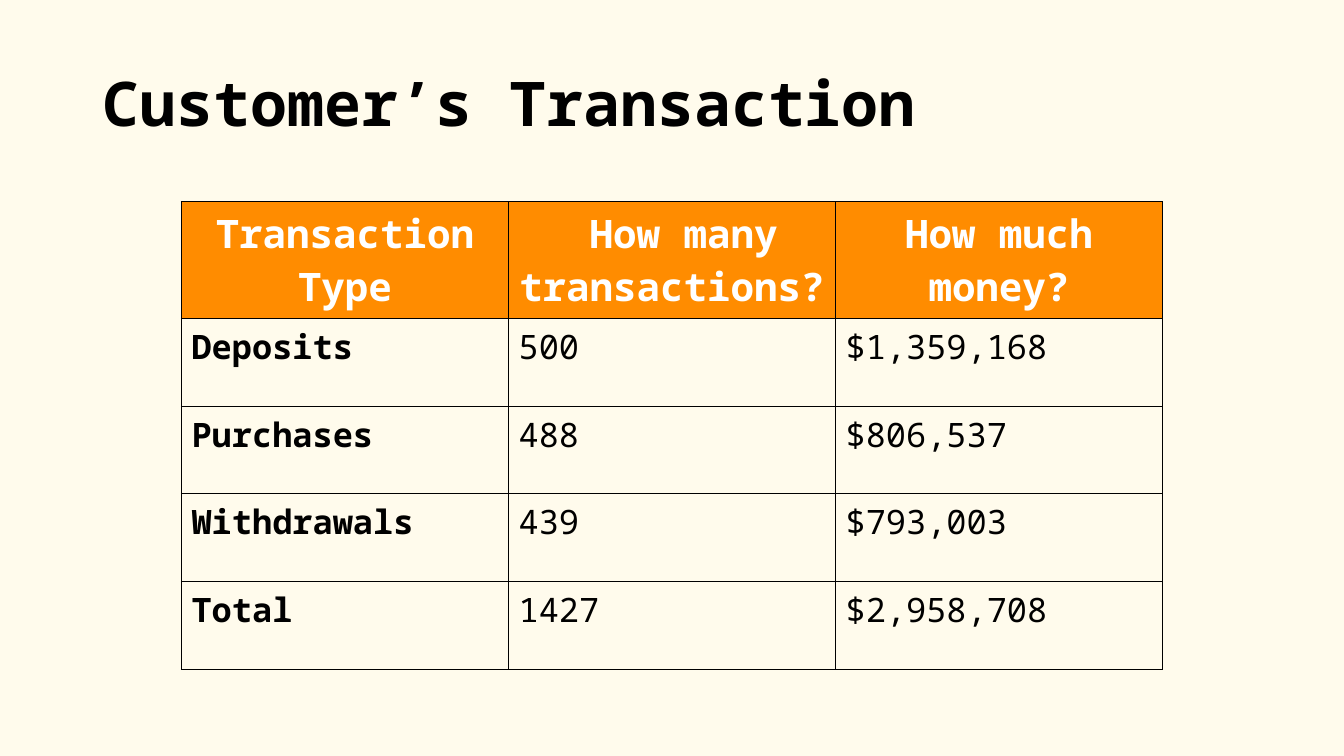
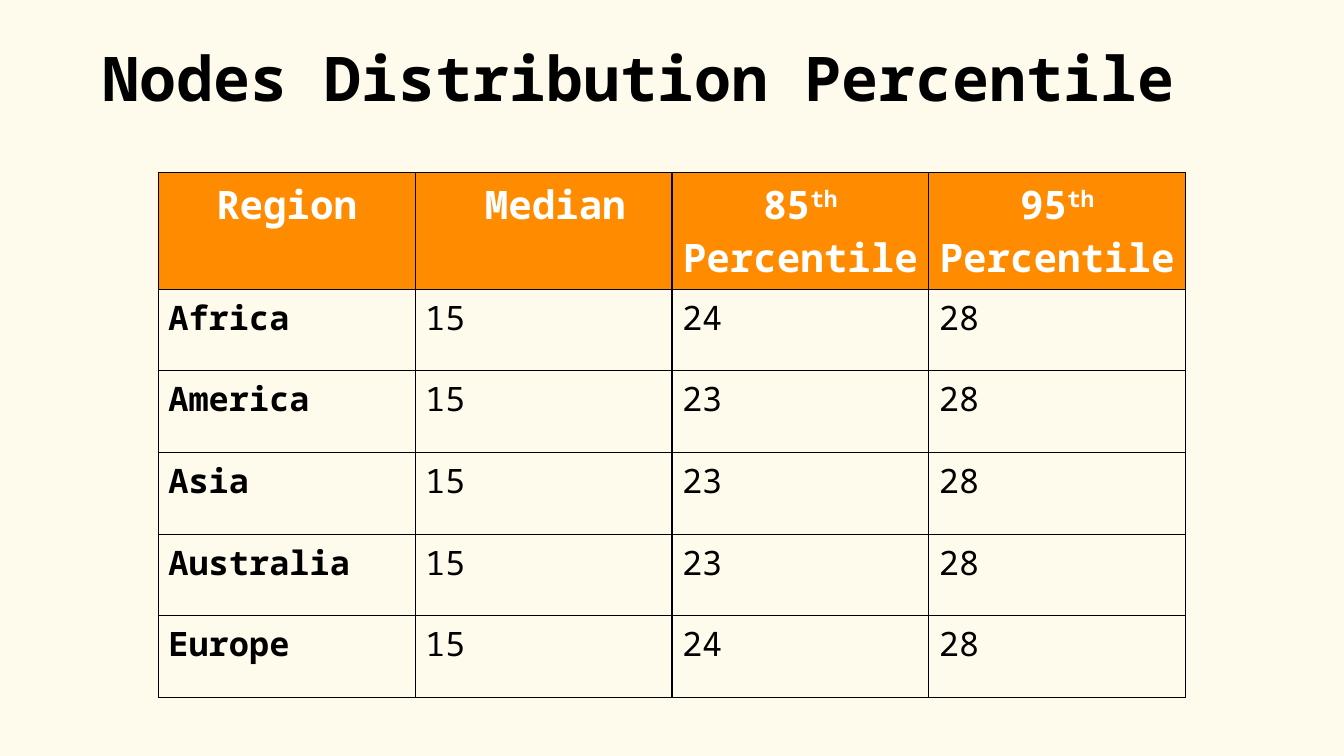
import dataclasses
import pptx
import pptx.util
import pptx.dml.color
import pptx.enum.text
import pptx.oxml
import pptx.oxml.ns

Inches = pptx.util.Inches
Align = pptx.enum.text.PP_ALIGN
Anchor = pptx.enum.text.MSO_ANCHOR


@dataclasses.dataclass(frozen=True)
class Theme:
    font: str = "Noto Sans Mono"
    paper: str = "FFFBEC"
    band: str = "FF8C00"
    ink: str = "000000"
    white: str = "FFFFFF"
    title: int = 44
    head: int = 28
    body: int = 24
    rule: int = 1
    wide: float = 13.33
    high: float = 7.5
    crest: float = 1.16


THEME = Theme()

SLIDES = [
    {
        "title": "Customer’s Transaction",
        "depth": 1.31,
        "top": 2,
        "width": 9.73,
        "row": 0.87,
        "cells": [
            ("Transaction Type", " How many transactions?", "How much money?"),
            ("Deposits", "500", "$1,359,168"),
            ("Purchases", "488", "$806,537"),
            ("Withdrawals", "439", "$793,003"),
            ("Total", "1427", "$2,958,708"),
        ],
    },
    {
        "title": "Nodes Distribution Percentile",
        "depth": 0.81,
        "top": 1.71,
        "width": 10.19,
        "row": 0.81,
        "cells": [
            ("Region", " Median", "85^th^ Percentile", "95^th^ Percentile"),
            ("Africa", "15", "24", "28"),
            ("America", "15", "23", "28"),
            ("Asia", "15", "23", "28"),
            ("Australia", "15", "23", "28"),
            ("Europe", "15", "24", "28"),
        ],
    },
]


def paint(fill, color):
    fill.solid()
    fill.fore_color.rgb = pptx.dml.color.RGBColor.from_string(color)


def write(frame, text, size=THEME.body, color=THEME.ink, bold=False,
          align=Align.LEFT, anchor=Anchor.TOP, space=1.0):
    frame.word_wrap = True
    frame.vertical_anchor = anchor
    para = frame.paragraphs[0]
    para.alignment = align
    para.line_spacing = space
    for part, piece in enumerate(text.split("^")):
        run = para.add_run()
        run.text = piece
        run.font.name = THEME.font
        run.font.size = pptx.util.Pt(size)
        run.font.bold = bold
        paint(run.font.fill, color)
        if part % 2:
            run._r.get_or_add_rPr().set("baseline", "30000")


def border(cell):
    props = cell._tc.get_or_add_tcPr()
    width = pptx.util.Pt(THEME.rule)
    for side in "LRTB":
        props.append(pptx.oxml.parse_xml(
            f'<a:ln{side} {pptx.oxml.ns.nsdecls("a")} w="{width}">'
            f'<a:solidFill><a:srgbClr val="{THEME.ink}"/></a:solidFill>'
            f'</a:ln{side}>'))


def heading(slide, text, depth):
    box = slide.shapes.add_textbox(
        Inches(0.92), Inches(0.4), Inches(11.5), Inches(depth))
    write(box.text_frame, text, size=THEME.title, bold=True,
          anchor=Anchor.MIDDLE, space=0.9)


def grid(slide, cells, top, width, row):
    count, span = len(cells), len(cells[0])
    left = (THEME.wide - width) / 2
    table = slide.shapes.add_table(
        count, span, Inches(left), Inches(top), Inches(width),
        Inches(THEME.crest + row * (count - 1))).table
    table.first_row = table.horz_banding = False
    for col in table.columns:
        col.width = Inches(width / span)
    for r, line in enumerate(cells):
        table.rows[r].height = Inches(row if r else THEME.crest)
        for c, text in enumerate(line):
            cell = table.cell(r, c)
            border(cell)
            paint(cell.fill, THEME.paper if r else THEME.band)
            if r:
                write(cell.text_frame, text, bold=c == 0)
            else:
                write(cell.text_frame, text, size=THEME.head,
                      color=THEME.white, bold=True, align=Align.CENTER)


def main():
    deck = pptx.Presentation()
    deck.slide_width = Inches(THEME.wide)
    deck.slide_height = Inches(THEME.high)
    paint(deck.slide_master.background.fill, THEME.paper)
    for page in SLIDES:
        slide = deck.slides.add_slide(deck.slide_layouts[6])
        heading(slide, page["title"], page["depth"])
        grid(slide, page["cells"], page["top"], page["width"], page["row"])
    deck.save("out.pptx")


if __name__ == "__main__":
    main()
